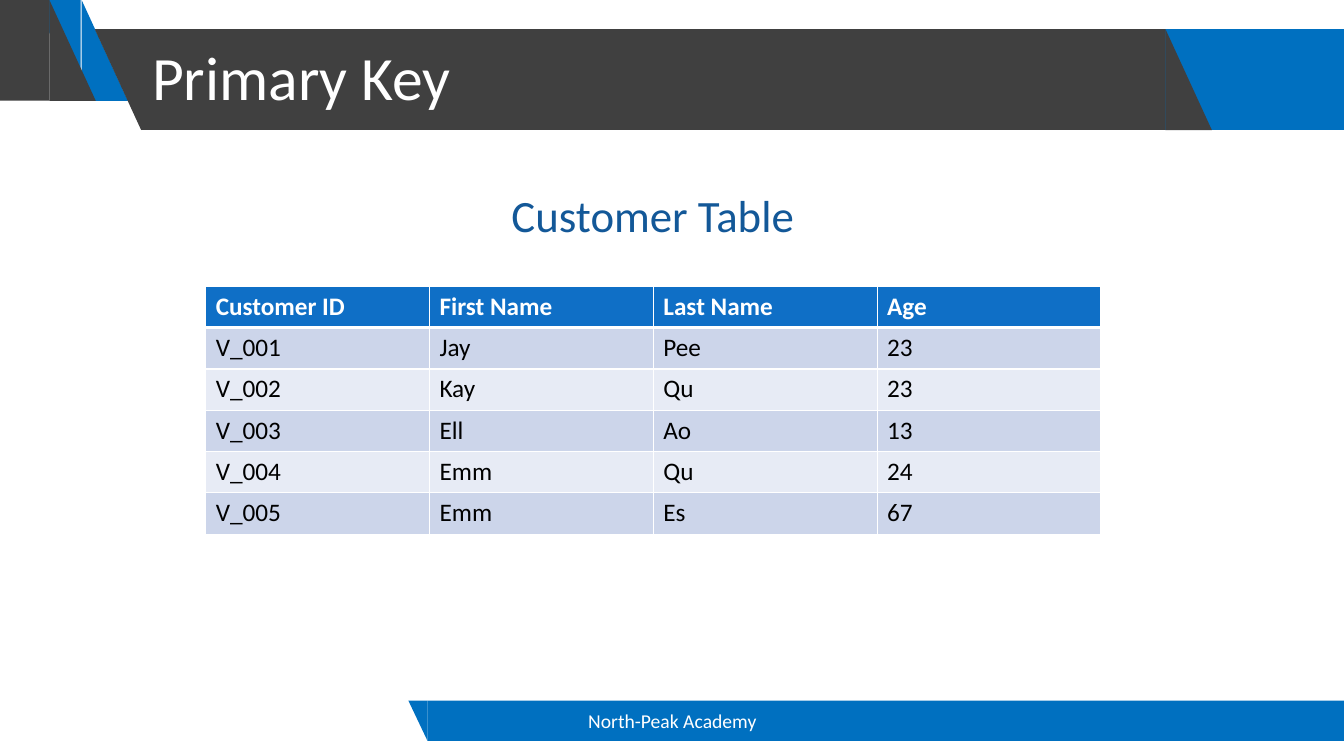
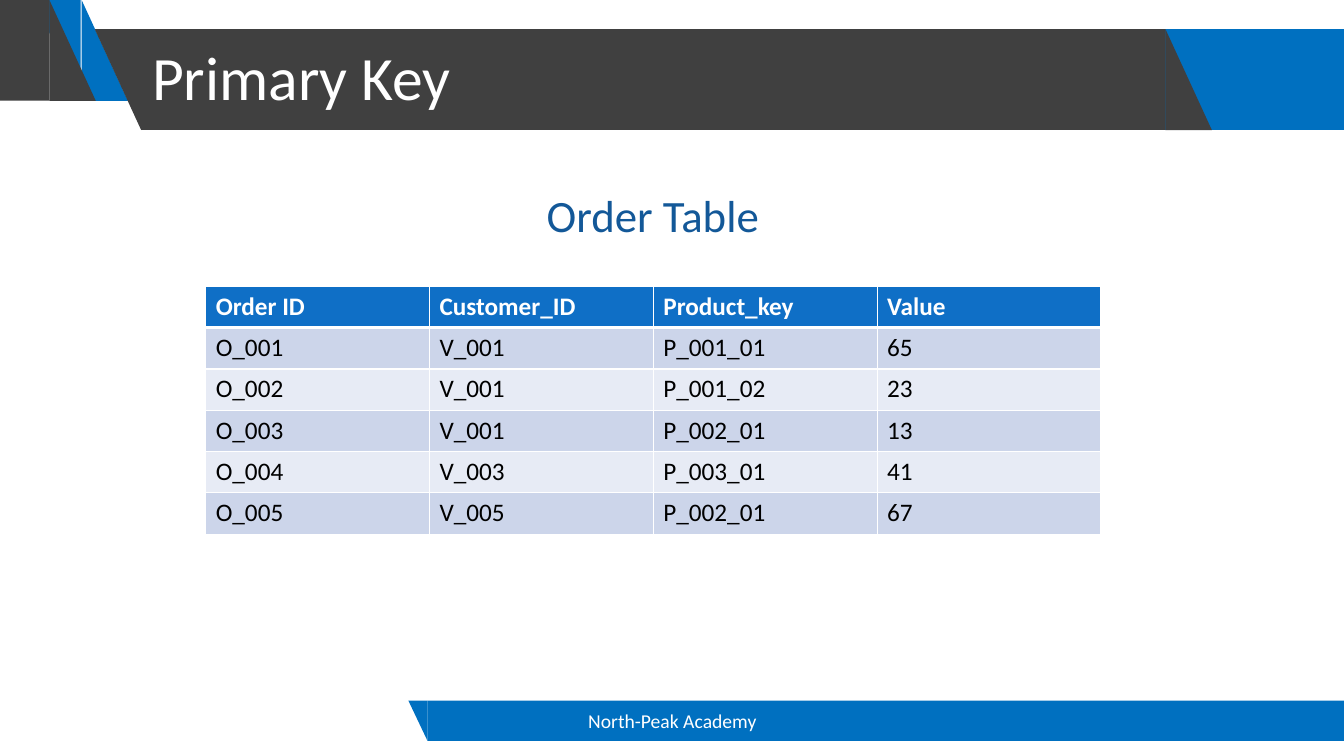
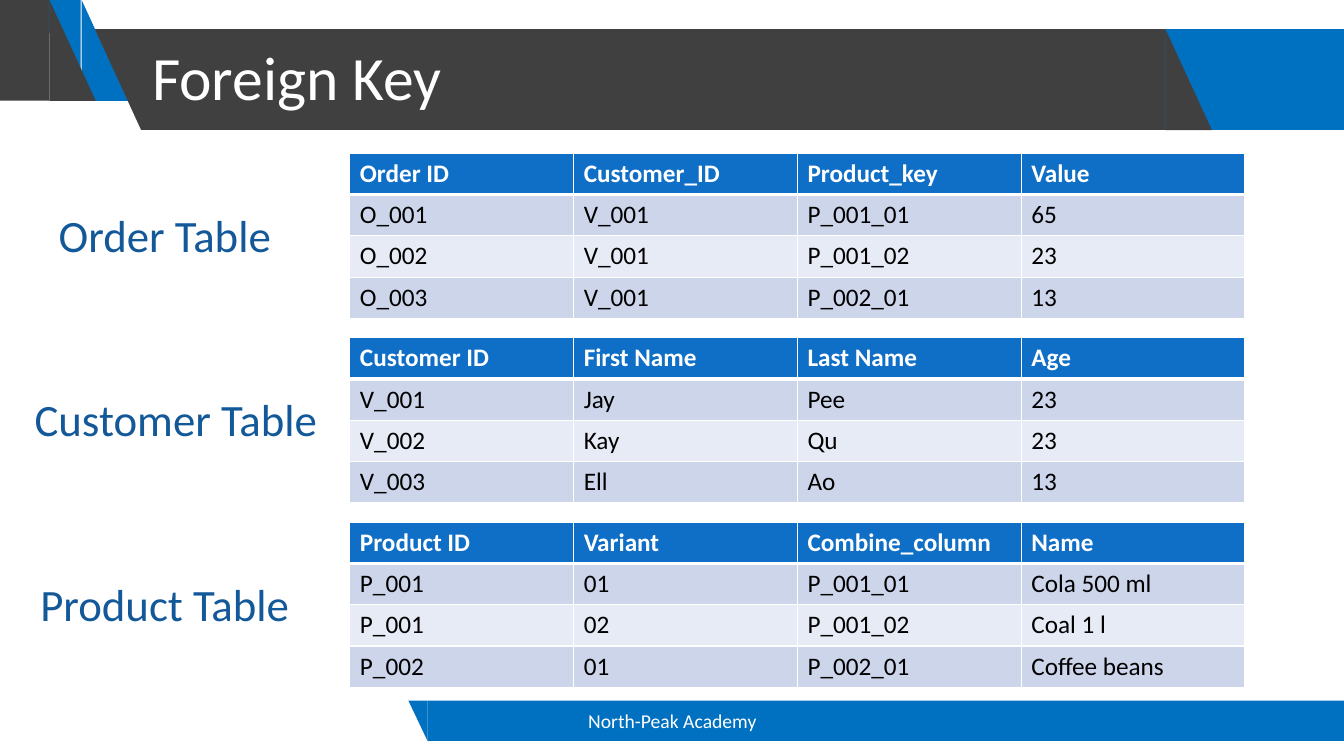
from lxml import etree
from pptx import Presentation
from pptx.dml.color import RGBColor
from pptx.enum.shapes import MSO_SHAPE as SHAPE
from pptx.enum.text import MSO_ANCHOR as ANCHOR, PP_ALIGN as ALIGN
from pptx.oxml.ns import qn
from pptx.util import Inches, Pt

COLORS = {
    "blue": "0070C0",
    "dark": "404040",
    "white": "FFFFFF",
    "black": "000000",
    "caption": "135898",
    "header": "0F6FC6",
    "odd_row": "CCD5EA",
    "even_row": "E7EBF5",
}
FONT = "Calibri"
COLUMN_WIDTH, ROW_HEIGHT = 2.22, 0.41

# Bands: left, top, width, height, preset, rotation, colour
BANDS = [
    (10.68, 0.29, 2.65, 1, SHAPE.RECTANGLE, 0, "blue"),
    (0.81, 0, 0.46, 1, SHAPE.RIGHT_TRIANGLE, 0, "blue"),
    (0.34, 0, 0.46, 1, SHAPE.RIGHT_TRIANGLE, 180, "blue"),
    (0, 0, 0.49, 1, SHAPE.RECTANGLE, 0, "dark"),
    (0.49, 0, 0.46, 1, SHAPE.RIGHT_TRIANGLE, 0, "dark"),
    (0.94, 0.29, 0.46, 1, SHAPE.RIGHT_TRIANGLE, 180, "dark"),
    (1.4, 0.29, 10.16, 1, SHAPE.RECTANGLE, 0, "dark"),
    (11.56, 0.29, 0.46, 1, SHAPE.RIGHT_TRIANGLE, 0, "dark"),
    (4.24, 6.95, 9.09, 0.4, SHAPE.RECTANGLE, 0, "blue"),
    (4.05, 6.95, 0.19, 0.4, SHAPE.RIGHT_TRIANGLE, 180, "blue"),
]

CUSTOMERS = [
    ("Customer ID", "First Name", "Last Name", "Age"),
    ("V_001", "Jay", "Pee", "23"),
    ("V_002", "Kay", "Qu", "23"),
    ("V_003", "Ell", "Ao", "13"),
    ("V_004", "Emm", "Qu", "24"),
    ("V_005", "Emm", "Es", "67"),
]
ORDERS = [
    ("Order ID", "Customer_ID", "Product_key", "Value"),
    ("O_001", "V_001", "P_001_01", "65"),
    ("O_002", "V_001", "P_001_02", "23"),
    ("O_003", "V_001", "P_002_01", "13"),
    ("O_004", "V_003", "P_003_01", "41"),
    ("O_005", "V_005", "P_002_01", "67"),
]
PRODUCTS = [
    ("Product ID", "Variant", "Combine_column", "Name"),
    ("P_001", "01", "P_001_01", "Cola 500 ml"),
    ("P_001", "02", "P_001_02", "Coal 1 l"),
    ("P_002", "01", "P_002_01", "Coffee beans"),
]

# Each table: caption, caption left, caption top, table left, table top, rows
FIRST_TOP, TABLE_PITCH, CAPTION_DROP = 1.52, 1.83, 0.49
foreign_key_tables = []
for index, (caption, caption_left, rows) in enumerate([
    ("Order Table", -0.42, ORDERS[:4]),
    ("Customer Table", -0.31, CUSTOMERS[:4]),
    ("Product Table", -0.42, PRODUCTS),
]):
    top = FIRST_TOP + index * TABLE_PITCH
    foreign_key_tables.append((caption, caption_left, top + CAPTION_DROP, 3.47, top, rows))

SLIDES = [
    ("Primary Key", [("Customer Table", 4.42, 1.81, 2.04, 2.84, CUSTOMERS)]),
    ("Primary Key", [("Order Table", 4.42, 1.81, 2.04, 2.84, ORDERS)]),
    ("Foreign Key", foreign_key_tables),
]


def write(frame, text, size=18, color="black", bold=False, align=ALIGN.LEFT,
          anchor=ANCHOR.TOP, spacing=1.0):
    frame.word_wrap = True
    frame.vertical_anchor = anchor
    paragraph = frame.paragraphs[0]
    paragraph.alignment = align
    paragraph.line_spacing = spacing
    run = paragraph.add_run()
    run.text = text
    run.font.name = FONT
    run.font.size = Pt(size)
    run.font.bold = bold
    run.font.color.rgb = RGBColor.from_string(COLORS[color])


def style_cell(cell, fill, top_border, bottom_border):
    """Draw white borders (widths in points), then fill the cell."""
    properties = cell._tc.get_or_add_tcPr()
    for side, width in (("L", 1), ("R", 1), ("T", top_border), ("B", bottom_border)):
        border = etree.SubElement(properties, qn(f"a:ln{side}"), w=str(Pt(width)))
        paint = etree.SubElement(border, qn("a:solidFill"))
        etree.SubElement(paint, qn("a:srgbClr"), val=COLORS["white"])
    cell.fill.solid()
    cell.fill.fore_color.rgb = RGBColor.from_string(COLORS[fill])


deck = Presentation()
deck.slide_width, deck.slide_height = Inches(13.33), Inches(7.5)
blank = deck.slide_layouts[6]

for title, tables in SLIDES:
    shapes = deck.slides.add_slide(blank).shapes

    for left, top, width, height, preset, rotation, color in BANDS:
        band = shapes.add_shape(preset, Inches(left), Inches(top), Inches(width), Inches(height))
        band.rotation = rotation
        band.shadow.inherit = False
        band.fill.solid()
        band.fill.fore_color.rgb = RGBColor.from_string(COLORS[color])
        band.line.fill.background()

    heading = shapes.add_textbox(Inches(1.41), Inches(0.07), Inches(10.14), Inches(1.45))
    write(heading.text_frame, title, size=44, color="white", anchor=ANCHOR.MIDDLE, spacing=0.9)
    footer = shapes.add_textbox(Inches(4.42), Inches(6.95), Inches(4.5), Inches(0.4))
    write(footer.text_frame, "North-Peak Academy", size=14, color="white",
          align=ALIGN.CENTER, anchor=ANCHOR.MIDDLE)

    for caption, caption_left, caption_top, left, top, rows in tables:
        column_count = len(rows[0])
        table = shapes.add_table(
            len(rows), column_count, Inches(left), Inches(top),
            Inches(COLUMN_WIDTH * column_count), Inches(ROW_HEIGHT * len(rows))).table
        for column in table.columns:
            column.width = Inches(COLUMN_WIDTH)
        for row_index, values in enumerate(rows):
            table.rows[row_index].height = Inches(ROW_HEIGHT)
            is_header = row_index == 0
            fill = "header" if is_header else "odd_row" if row_index % 2 else "even_row"
            for column_index, value in enumerate(values):
                cell = table.cell(row_index, column_index)
                style_cell(cell, fill, top_border=3 if row_index == 1 else 1,
                           bottom_border=3 if is_header else 1)
                write(cell.text_frame, value, color="white" if is_header else "black",
                      bold=is_header)

        label = shapes.add_textbox(Inches(caption_left), Inches(caption_top),
                                   Inches(4.11), Inches(0.64))
        write(label.text_frame, caption, size=32, color="caption", align=ALIGN.CENTER)

deck.save("out.pptx")
